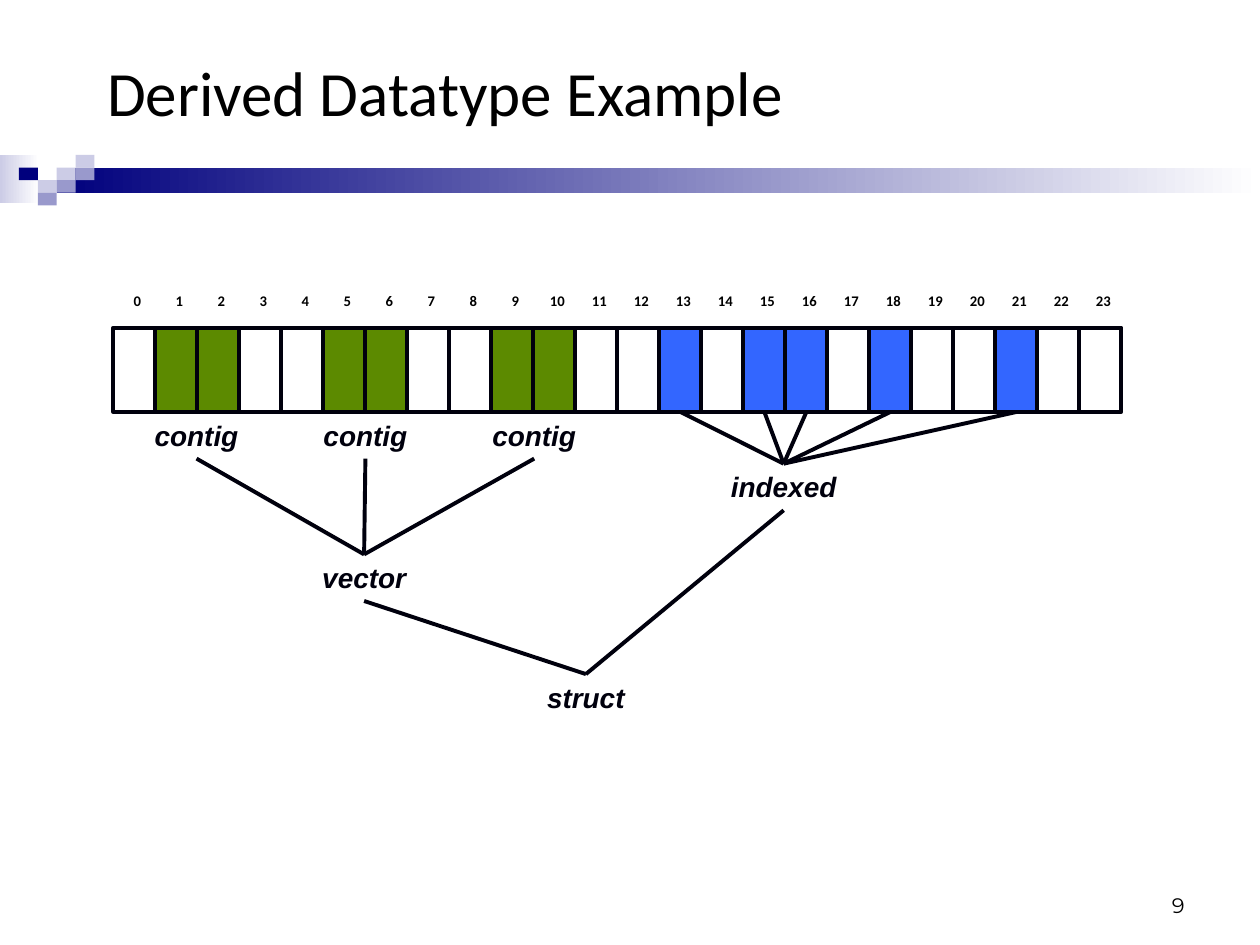
from pptx import Presentation
from pptx.dml.color import RGBColor
from pptx.enum.shapes import MSO_CONNECTOR as LINK, MSO_SHAPE as SHAPE
from pptx.enum.text import MSO_ANCHOR as ANCHOR, MSO_AUTO_SIZE as AUTO, PP_ALIGN as ALIGN
from pptx.oxml import parse_xml
from pptx.oxml.ns import nsdecls
from pptx.util import Inches, Pt

INK, GREEN, BLUE = "00000D", "5C8A00", "3366FF"
NAVY, MID, PALE = "00007D", "9999CC", "CCCCE6"
COUNT = 24
CONTIG = [(1, 2), (5, 6), (9, 10)]
INDEXED = [13, 15, 16, 18, 21]


def color(code):
    return RGBColor.from_string(code)


def write(shape, text, size, font, code, align, anchor, bold=False, italic=False):
    frame = shape.text_frame
    frame.text = text
    frame.vertical_anchor = anchor
    para = frame.paragraphs[0]
    para.alignment = align
    face = para.runs[0].font
    face.size, face.name = Pt(size), font
    face.bold, face.italic = bold, italic
    face.color.rgb = color(code)
    return para


def rect(shapes, x, y, w, h, fill=None, line=None):
    box = shapes.add_shape(SHAPE.RECTANGLE, Inches(x), Inches(y), Inches(w), Inches(h))
    box.shadow.inherit = False
    if fill:
        box.fill.solid()
        box.fill.fore_color.rgb = color(fill)
    else:
        box.fill.background()
    if line:
        box.line.color.rgb = color(line)
        box.line.width = Pt(2.25)
    else:
        box.line.fill.background()
    return box


def fade(box, start):
    box.fill.gradient()
    box.fill.gradient_angle = 0
    for stop, code in zip(box.fill.gradient_stops, (start, "FFFFFF")):
        stop.color.rgb = color(code)


def add_band(slide, x, y, w):
    shapes = slide.shapes.add_group_shape().shapes
    # Fading bars
    fade(rect(shapes, x, y, 0.31, 0.38), PALE)
    fade(rect(shapes, x + 0.45, y + 0.1, w - 0.45, 0.2), NAVY)
    # Small tiles as column, row, fill
    tiles = [(3, 1, PALE), (4, 0, PALE), (4, 1, MID), (2, 2, PALE),
             (1, 1, NAVY), (3, 2, MID), (2, 3, MID)]
    for col, row, fill in tiles:
        rect(shapes, x + col * 0.15, y + row * 0.1, 0.15, 0.1, fill)


def add_title(slide, x, y, w, h):
    title = slide.shapes.title
    title.left, title.top, title.width, title.height = map(Inches, (x, y, w, h))
    write(title, "Derived Datatype Example", 36, "Calibri", "000000",
          ALIGN.LEFT, ANCHOR.MIDDLE)


def add_number(slide, x, y, w, h):
    box = slide.shapes.add_textbox(Inches(x), Inches(y), Inches(w), Inches(h))
    box.text_frame.word_wrap = True
    write(box, "9", 12, "Montserrat", "000000", ALIGN.RIGHT, ANCHOR.BOTTOM)


def add_cells(slide, x, y, w, h):
    step = w / COUNT
    fills = {i: GREEN for pair in CONTIG for i in pair}
    fills.update({i: BLUE for i in INDEXED})
    # Memory cells
    cells = [rect(slide.shapes, x + i * step, y, step, h, fills.get(i), INK)
             for i in range(COUNT)]
    # Index above each cell
    for i in range(COUNT):
        mark = rect(slide.shapes, x + i * step, y - 0.33, 0.38, 0.25, line="FFFFFF")
        para = write(mark, str(i), 8.4, "Calibri", "000000",
                     ALIGN.CENTER, ANCHOR.MIDDLE, bold=True)
        para.line_spacing = 0.8
    return cells


def add_label(slide, text, mid, y, w):
    box = slide.shapes.add_textbox(Inches(mid - w / 2), Inches(y), Inches(w), Inches(0.37))
    box.text_frame.word_wrap = False
    box.text_frame.auto_size = AUTO.SHAPE_TO_FIT_TEXT
    write(box, text, 16, "Arial", INK, ALIGN.CENTER, ANCHOR.TOP, bold=True, italic=True)
    return box


def join(slide, upper, lower):
    line = slide.shapes.add_connector(LINK.STRAIGHT, 0, 0, 0, 0)
    line.begin_connect(upper, 2)
    line.end_connect(lower, 0)
    line.line.color.rgb = color(INK)
    line.line.width = Pt(2.25)
    line._element.spPr.append(parse_xml(f"<a:effectLst {nsdecls('a')}/>"))


def add_tree(slide, cells, x, y):
    # Type names
    contigs = [add_label(slide, "contig", x + 0.66 + i * 1.34, y, 1)
               for i in range(len(CONTIG))]
    vector = add_label(slide, "vector", x + 1.99, y + 1.13, 0.91)
    indexed = add_label(slide, "indexed", x + 5.32, y + 0.41, 1.2)
    struct = add_label(slide, "struct", x + 3.75, y + 2.08, 0.83)
    # Links from parts to the type they form
    links = [(part, vector) for part in contigs]
    links += [(cells[i], indexed) for i in INDEXED]
    links += [(indexed, struct), (vector, struct)]
    for upper, lower in links:
        join(slide, upper, lower)


def main():
    deck = Presentation()
    deck.slide_width, deck.slide_height = Inches(10), Inches(7.5)
    slide = deck.slides.add_slide(deck.slide_layouts[5])
    add_band(slide, 0, 1.23, 10)
    add_title(slide, 0.75, 0.28, 8.42, 0.89)
    add_number(slide, 7.17, 6.83, 2.33, 0.5)
    cells = add_cells(slide, 0.9, 2.6, 8, 0.67)
    add_tree(slide, cells, 0.9, 3.27)
    deck.save("out.pptx")


if __name__ == "__main__":
    main()
